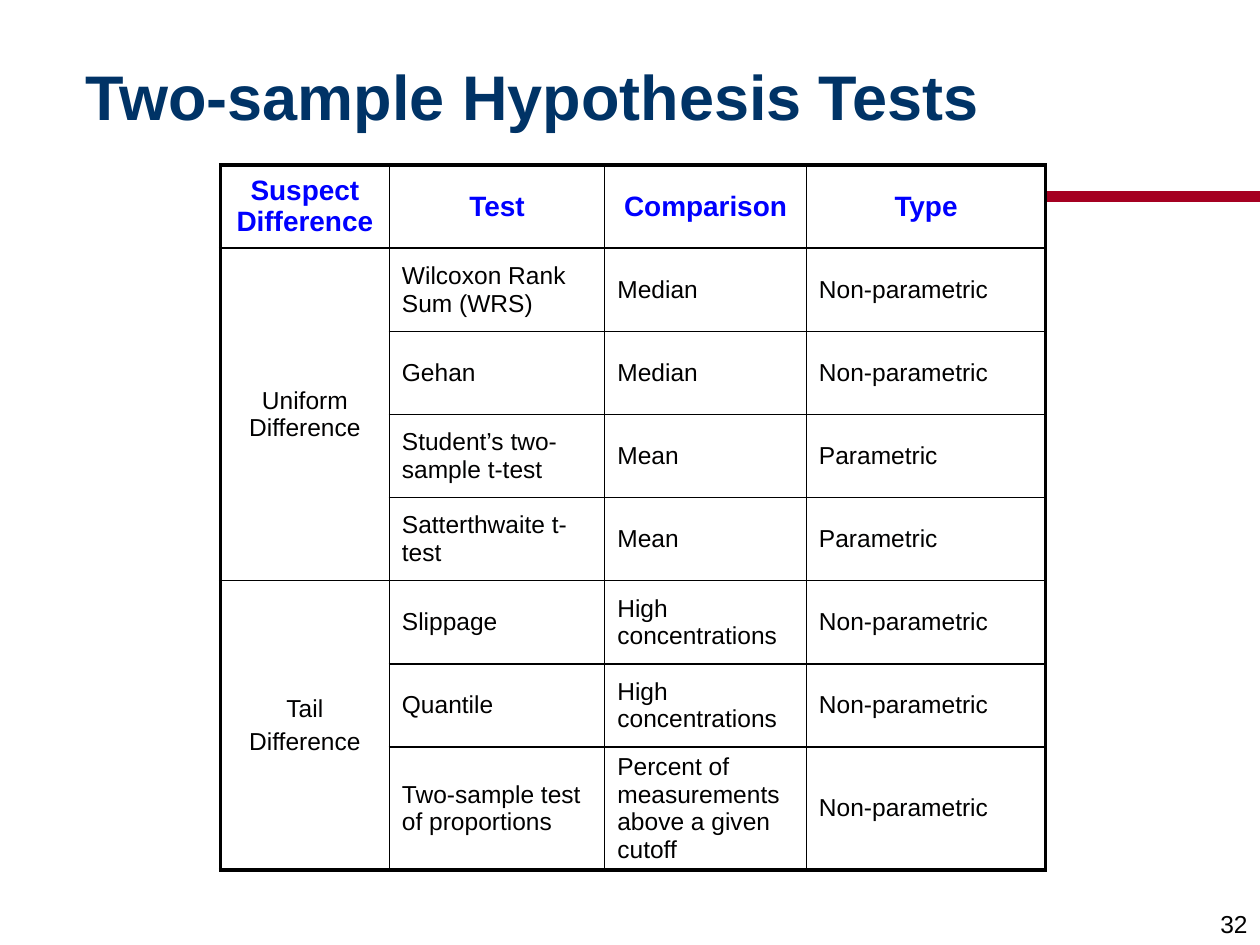
from lxml.etree import SubElement
from pptx import Presentation
from pptx.dml.color import RGBColor
from pptx.enum.shapes import MSO_CONNECTOR
from pptx.enum.text import MSO_ANCHOR, MSO_AUTO_SIZE, PP_ALIGN
from pptx.oxml import parse_xml
from pptx.oxml.ns import nsdecls, qn
from pptx.util import Inches, Pt

FONT = "Arial"
THIN, THICK = 1, 2.25
COLUMN_WIDTHS = [1.34, 1.71, 1.6, 1.9]
ROW_HEIGHT = 0.66
HEADERS = ["Suspect Difference", "Test", "Comparison", "Type"]
GROUPS = [
    ("Uniform Difference", [
        ("Wilcoxon Rank Sum (WRS)", "Median", "Non-parametric"),
        ("Gehan", "Median", "Non-parametric"),
        ("Student’s two-sample t-test", "Mean", "Parametric"),
        ("Satterthwaite t-test", "Mean", "Parametric"),
    ]),
    ("Tail\nDifference", [
        ("Slippage", "High concentrations", "Non-parametric"),
        ("Quantile", "High concentrations", "Non-parametric"),
        ("Two-sample test of proportions",
         "Percent of measurements above a given cutoff", "Non-parametric"),
    ]),
]


def color(value):
    return RGBColor.from_string(value)


def write(frame, text, size, ink, bold=False, align=PP_ALIGN.LEFT):
    frame.text = text
    for index, para in enumerate(frame.paragraphs):
        para.alignment = align
        if index:
            para.space_before = Pt(3)
        for span in para.runs:
            span.font.name = FONT
            span.font.size = Pt(size)
            span.font.bold = bold
            span.font.color.rgb = color(ink)


def add_rule(page, left, top, width):
    rule = page.shapes.add_connector(
        MSO_CONNECTOR.STRAIGHT, Inches(left), Inches(top),
        Inches(left + width), Inches(top))
    rule.line.color.rgb = color("A50021")
    rule.line.width = Pt(6)
    SubElement(rule._element.spPr, qn("a:effectLst"))


def place_title(page, left, top, width, height):
    title = page.shapes.title
    title.left, title.top = Inches(left), Inches(top)
    title.width, title.height = Inches(width), Inches(height)
    frame = title.text_frame
    write(frame, "Two-sample Hypothesis Tests", 36, "003366", bold=True)
    frame.auto_size = MSO_AUTO_SIZE.NONE
    frame.vertical_anchor = MSO_ANCHOR.MIDDLE
    frame.paragraphs[0].line_spacing = 0.9


def set_borders(cell, **widths):
    """Draw black borders; sides are given in schema order L, R, T, B."""
    properties = cell._tc.get_or_add_tcPr()
    for position, (side, width) in enumerate(widths.items()):
        properties.insert(position, parse_xml(
            f'<a:ln{side} {nsdecls("a")} w="{Pt(width)}"><a:solidFill>'
            f'<a:srgbClr val="000000"/></a:solidFill></a:ln{side}>'))


def style_cells(table):
    last_row, last_column = len(table.rows) - 1, len(table.columns) - 1
    for r in range(last_row + 1):
        for c in range(last_column + 1):
            cell = table.cell(r, c)
            cell.vertical_anchor = MSO_ANCHOR.MIDDLE
            cell.fill.solid()
            cell.fill.fore_color.rgb = color("FFFFFF")
            bottom_row = r + (cell.span_height if cell.is_merge_origin else 1) - 1
            set_borders(cell,
                        L=THIN if c else THICK,
                        R=THICK if c == last_column else THIN,
                        T=THIN if r else THICK,
                        B=THICK if bottom_row == last_row else THIN)


def add_test_table(page, left, top, width, height):
    row_count = 1 + sum(len(tests) for _, tests in GROUPS)
    frame = page.shapes.add_table(
        row_count, len(HEADERS), Inches(left), Inches(top),
        Inches(width), Inches(height))
    table = frame.table
    for column, column_width in zip(table.columns, COLUMN_WIDTHS):
        column.width = Inches(column_width)
    for row in table.rows:
        row.height = Inches(ROW_HEIGHT)
    frame.height = Inches(height)

    for c, header in enumerate(HEADERS):
        write(table.cell(0, c).text_frame, header, 16, "0000FF", True,
              PP_ALIGN.CENTER)
    first = 1
    for name, tests in GROUPS:
        group = table.cell(first, 0)
        group.merge(table.cell(first + len(tests) - 1, 0))
        write(group.text_frame, name, 14, "010000", align=PP_ALIGN.CENTER)
        for r, test in enumerate(tests, first):
            for c, text in enumerate(test, 1):
                write(table.cell(r, c).text_frame, text, 14, "010000")
        first += len(tests)
    style_cells(table)


def add_page_number(page, left, top, width, height):
    box = page.shapes.add_textbox(
        Inches(left), Inches(top), Inches(width), Inches(height))
    frame = box.text_frame
    frame.word_wrap = False
    frame.vertical_anchor = MSO_ANCHOR.BOTTOM
    write(frame, "32", 14, "000000", align=PP_ALIGN.RIGHT)


def main():
    deck = Presentation()
    deck.slide_width, deck.slide_height = Inches(10), Inches(7.5)
    page = deck.slides.add_slide(deck.slide_layouts[5])
    add_rule(page, 3.17, 1.56, 6.83)
    place_title(page, 0.58, 0.17, 8.92, 1.25)
    add_test_table(page, 1.75, 1.31, 6.56, 5.65)
    add_page_number(page, 7.92, 7, 2.08, 0.5)
    deck.save("out.pptx")


if __name__ == "__main__":
    main()
